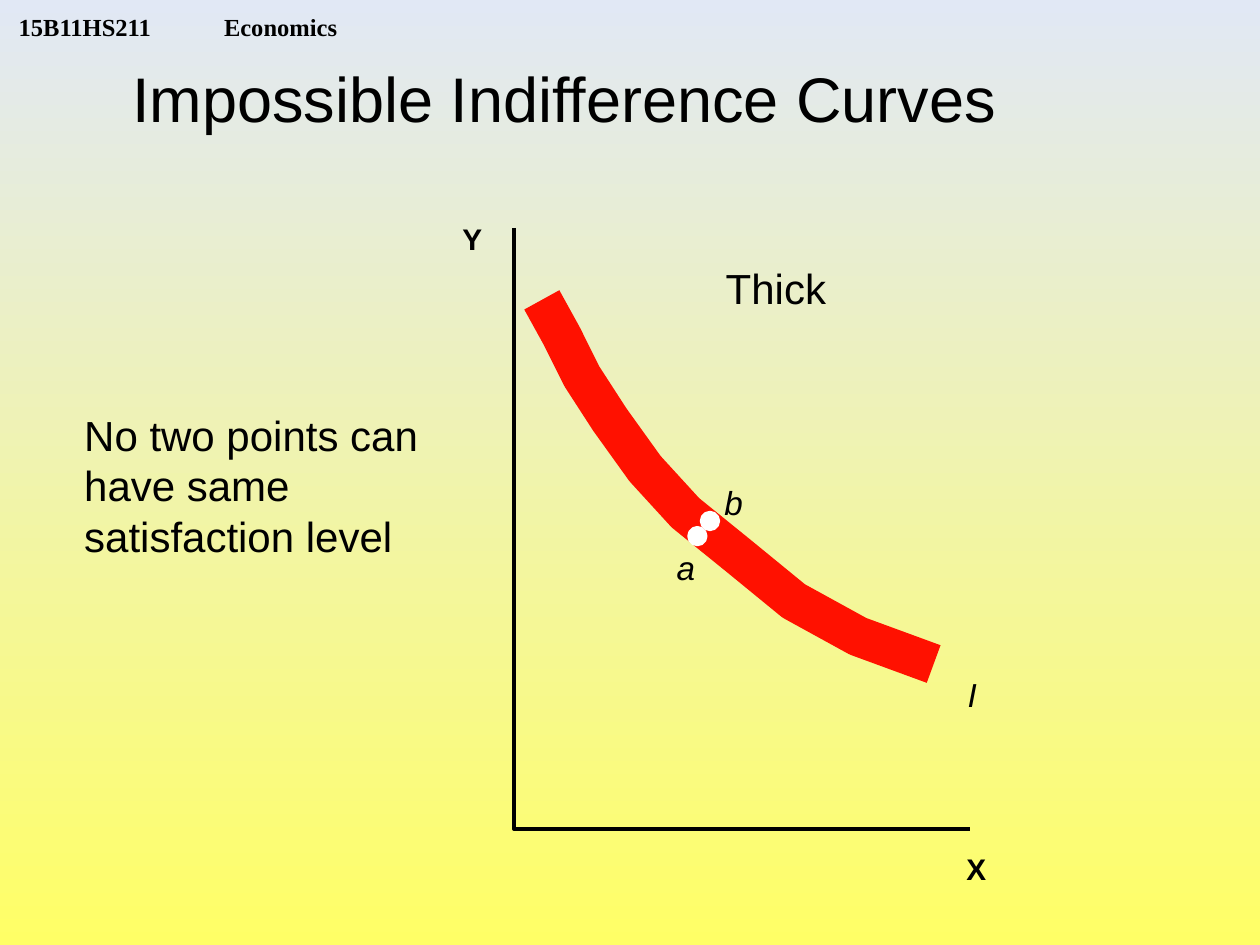
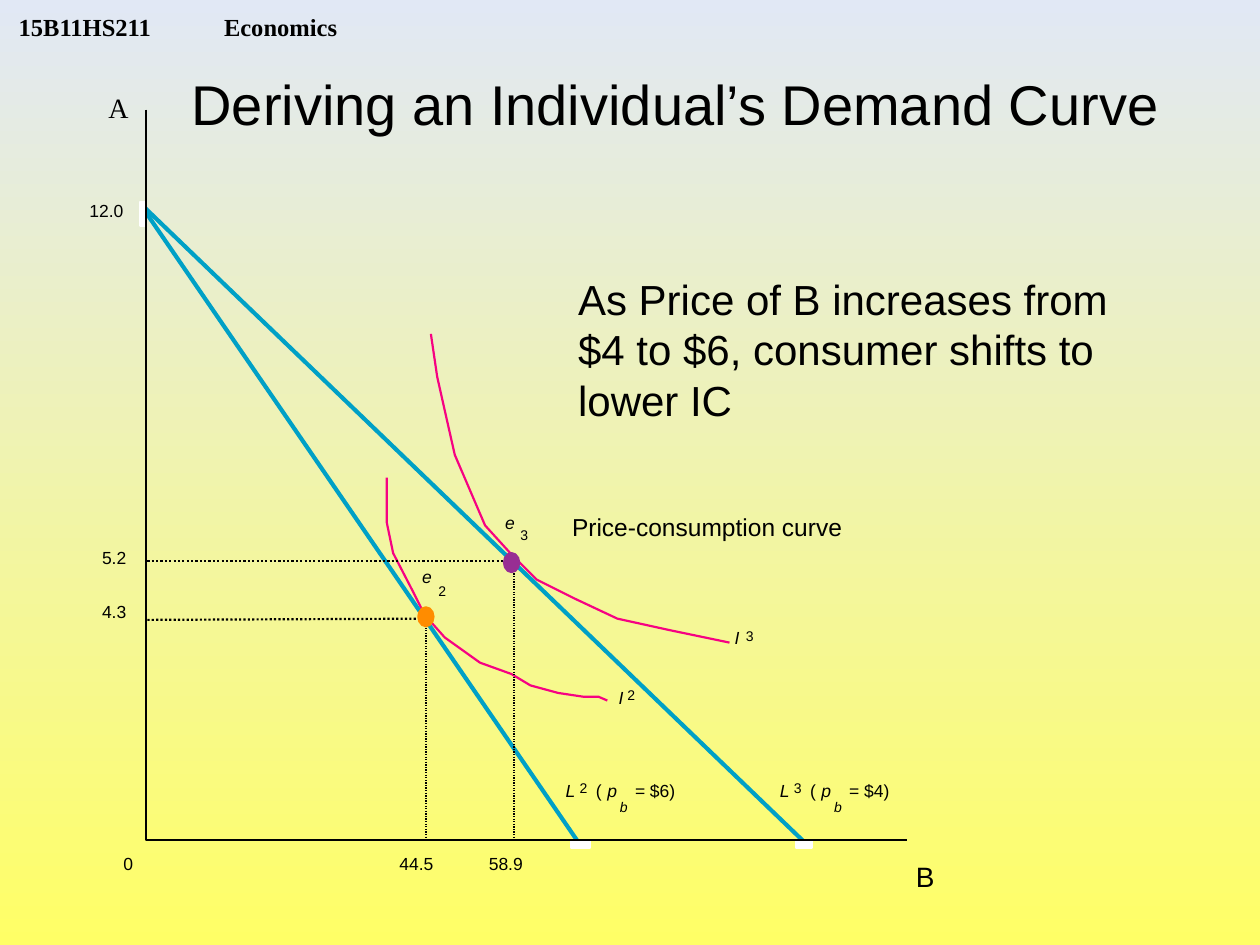
from dataclasses import dataclass
from typing import Any

from lxml import etree
from pptx import Presentation
from pptx import util as u
from pptx.dml.color import RGBColor
from pptx.enum import dml, shapes, text
from pptx.oxml import ns

Inches, Pt = u.Inches, u.Pt

# Shared look
BLACK = RGBColor(0x00, 0x00, 0x00)
WHITE = RGBColor(0xFF, 0xFF, 0xFF)
YELLOW = RGBColor(0xFF, 0xFF, 0x66)
PALE_BLUE = RGBColor(0xE1, 0xE8, 0xF5)
RED = RGBColor(0xFF, 0x11, 0x00)
PINK = RGBColor(0xF6, 0x02, 0x82)
CYAN = RGBColor(0x00, 0xA0, 0xC6)
ORANGE = RGBColor(0xFF, 0x8C, 0x00)
PURPLE = RGBColor(0x98, 0x2E, 0x93)
SANS, SERIF = "Arial", "Times New Roman"
TITLE_ONLY = 5


def set_text(shape, words, size=10, font=SANS, bold=False, italic=False,
             inset=(0, 0), anchor=text.MSO_ANCHOR.TOP, tab=None):
    """Write one left-aligned paragraph into a shape."""
    tf = shape.text_frame
    tf.word_wrap = True
    tf.auto_size = text.MSO_AUTO_SIZE.NONE
    tf.vertical_anchor = anchor
    tf.margin_left = tf.margin_right = Inches(inset[0])
    tf.margin_top = tf.margin_bottom = Inches(inset[1])
    p = tf.paragraphs[0]
    p.alignment = text.PP_ALIGN.LEFT
    if tab is not None:
        tabs = etree.SubElement(p._p.get_or_add_pPr(), ns.qn("a:tabLst"))
        etree.SubElement(tabs, ns.qn("a:tab"), pos=str(Inches(tab)), algn="l")
    r = p.add_run()
    r.text = words
    r.font.name, r.font.size = font, Pt(size)
    r.font.bold, r.font.italic = bold, italic
    r.font.color.rgb = BLACK


def add_text(s, box, words, **fmt):
    set_text(s.shapes.add_textbox(*map(Inches, box)), words, **fmt)


def set_line(line, color, width, dash=None):
    line.color.rgb = color
    line.width = Pt(width)
    if dash:
        line.dash_style = dash


@dataclass
class Plot:
    """A graph area; positions are inches from its top left corner."""
    s: Any
    left: float
    top: float
    width: float
    height: float

    def at(self, x, y):
        return Inches(self.left + x), Inches(self.top + y)

    def label(self, words, x, y, size=10, **fmt):
        width = (0.5 * len(words) + 0.3) * size / 72
        box = (self.left + x, self.top + y, width, size * 1.2 / 72)
        add_text(self.s, box, words, size=size, **fmt)

    def indexed(self, letter, index, x, y, dx, dy=0, italic_index=False):
        self.label(letter, x, y, italic=True)
        self.label(index, x + dx, y + dy, size=8, italic=italic_index)

    def curve(self, points, color, width):
        start, *rest = [self.at(*point) for point in points]
        builder = self.s.shapes.build_freeform(*start)
        builder.add_line_segments(rest, close=False)
        sp = builder.convert_to_shape()
        sp.shadow.inherit = False
        sp.fill.background()
        set_line(sp.line, color, width)

    def axes(self, width):
        self.curve([(0, 0), (0, self.height), (self.width, self.height)],
                   BLACK, width)

    def line(self, start, end, color, width, dash=None):
        c = self.s.shapes.add_connector(
            shapes.MSO_CONNECTOR.STRAIGHT, *self.at(*start), *self.at(*end))
        etree.SubElement(c._element.spPr, ns.qn("a:effectLst"))
        set_line(c.line, color, width, dash)
        # Keep the effect list after the line, as the schema orders them
        c._element.spPr.append(c._element.spPr.find(ns.qn("a:effectLst")))

    def mark(self, kind, x, y, w, h, color, width=1.25):
        sp = self.s.shapes.add_shape(kind, *self.at(x, y), Inches(w), Inches(h))
        sp.shadow.inherit = False
        sp.fill.solid()
        sp.fill.fore_color.rgb = color
        set_line(sp.line, color, width)


def set_background(master):
    fill = master.background.fill
    fill.gradient()
    fill.gradient_angle = 90
    for stop, color in zip(fill.gradient_stops, (YELLOW, PALE_BLUE)):
        stop.color.rgb = color


def new_slide(prs, title, box, size):
    """Title slide frame with the course header."""
    s = prs.slides.add_slide(prs.slide_layouts[TITLE_ONLY])
    add_text(s, (0.05, 0, 3.2, 0.33), "15B11HS211\tEconomics", size=14,
             font=SERIF, bold=True, inset=(0.1, 0),
             anchor=text.MSO_ANCHOR.BOTTOM, tab=1.63)
    t = s.shapes.title
    t.left, t.top, t.width, t.height = map(Inches, box)
    set_text(t, title, size=size, inset=(0.1, 0.05))
    return s


def add_note(s, box, words):
    add_text(s, box, words, size=24, inset=(0.1, 0.05))


def thick_curve_plot(s, box):
    plot = Plot(s, *box)
    plot.curve([(0.22, 0.57), (0.38, 0.86), (0.54, 1.18), (0.76, 1.52),
                (1.04, 1.91), (1.36, 2.26), (1.78, 2.6), (2.22, 2.96),
                (2.73, 3.24), (3.33, 3.46)], RED, 22.88)
    plot.axes(2.25)

    # Two bundles on the same curve
    for x, y in ((1.39, 2.38), (1.49, 2.26)):
        plot.mark(shapes.MSO_SHAPE.OVAL, x, y, 0.13, 0.13, WHITE, 2.25)
    for words, x, y in (("a", 1.29, 2.53), ("b", 1.67, 2.02), ("I", 3.6, 3.54)):
        plot.label(words, x, y, size=19, italic=True)

    plot.label("Thick", 1.68, 0.27, size=24)
    plot.label("Y", -0.41, -0.06, size=17, bold=True)
    plot.label("X", plot.width - 0.03, plot.height + 0.17, size=17, bold=True)


def budget_label(plot, index, price, x, y):
    plot.indexed("L", index, x, y, 0.11)
    plot.label("(", x + 0.24, y)
    plot.indexed("p", "b", x + 0.33, y, 0.1, 0.15, italic_index=True)
    plot.label(f"= {price})", x + 0.55, y)


def demand_plot(s, box):
    plot = Plot(s, *box)
    base = plot.height

    # Indifference curves
    plot.curve([(2.26, 1.78), (2.31, 2.12), (2.38, 2.43), (2.45, 2.74),
                (2.57, 3.02), (2.69, 3.3), (2.89, 3.52), (3.1, 3.73),
                (3.4, 3.88), (3.74, 4.04), (4.15, 4.13), (4.63, 4.23)],
               PINK, 1.25)
    plot.curve([(1.91, 2.92), (1.91, 3.28), (1.96, 3.52), (2.11, 3.81),
                (2.21, 4.01), (2.37, 4.19), (2.65, 4.39), (2.9, 4.48),
                (3.05, 4.57), (3.27, 4.63), (3.47, 4.66), (3.59, 4.66),
                (3.66, 4.69)], PINK, 1.25)

    # Budget lines and the white marks at their ends
    plot.line((-0.02, 0.79), (3.42, base), CYAN, 2.38)
    plot.line((-0.02, 0.77), (5.21, base), CYAN, 2.38)
    for x, y, w, h in ((5.16, base, 0.12, 0.06), (3.37, base, 0.15, 0.06),
                       (-0.05, 0.73, 0.05, 0.19)):
        plot.mark(shapes.MSO_SHAPE.RECTANGLE, x, y, w, h, WHITE)

    # Guides from the equilibrium points to the axes
    dots = dml.MSO_LINE.ROUND_DOT
    for start, end, width in (((0.01, 3.58), (2.91, 3.58), 1.25),
                              ((0.01, 4.05), (2.23, 4.04), 1.25),
                              ((2.22, 4.07), (2.22, base), 0.75),
                              ((2.92, 3.6), (2.92, base), 0.75)):
        plot.line(start, end, BLACK, width, dots)
    for x, y, color in ((2.16, 3.95, ORANGE), (2.84, 3.52, PURPLE)):
        plot.mark(shapes.MSO_SHAPE.OVAL, x, y, 0.12, 0.15, color)
    plot.axes(1.25)

    # Axis values and names
    for words, x, y in (("12.0", -0.45, 0.72), ("5.2", -0.35, 3.47),
                        ("4.3", -0.35, 3.9), ("0", -0.18, base + 0.1),
                        ("44.5", 2.01, base + 0.1), ("58.9", 2.72, base + 0.1)):
        plot.label(words, x, y)
    plot.label("A", -0.3, -0.15, size=16, font=SERIF)
    plot.label("B", plot.width + 0.07, base + 0.15, size=16)

    # Names of points, curves and lines
    plot.indexed("e", "3", 2.85, 3.19, 0.12, 0.12)
    plot.indexed("e", "2", 2.19, 3.62, 0.13, 0.13)
    plot.indexed("I", "2", 3.75, 4.58, 0.07)
    plot.indexed("I", "3", 4.67, 4.11, 0.09)
    budget_label(plot, "2", "$6", 3.33, 5.32)
    budget_label(plot, "3", "$4", 5.03, 5.32)
    plot.label("Price-consumption curve", 3.38, 3.19, size=14)


def main():
    prs = Presentation()
    prs.slide_width, prs.slide_height = Inches(10), Inches(7.5)
    set_background(prs.slide_master)

    s = new_slide(prs, "Impossible Indifference Curves",
                  (0.95, 0.42, 7.2, 0.7), 36)
    thick_curve_plot(s, (4.08, 1.81, 3.62, 4.77))
    add_note(s, (0.57, 3.2, 3.34, 1.3),
             "No two points can have same satisfaction level")

    s = new_slide(prs, "Deriving an Individual’s Demand Curve",
                  (1.42, 0.5, 8.08, 0.64), 32)
    demand_plot(s, (1.16, 0.87, 6.04, 5.8))
    add_note(s, (4.49, 2.12, 4.84, 1.3),
             "As Price of B increases from $4 to $6, "
             "consumer shifts to lower IC")

    prs.save("out.pptx")


if __name__ == "__main__":
    main()
